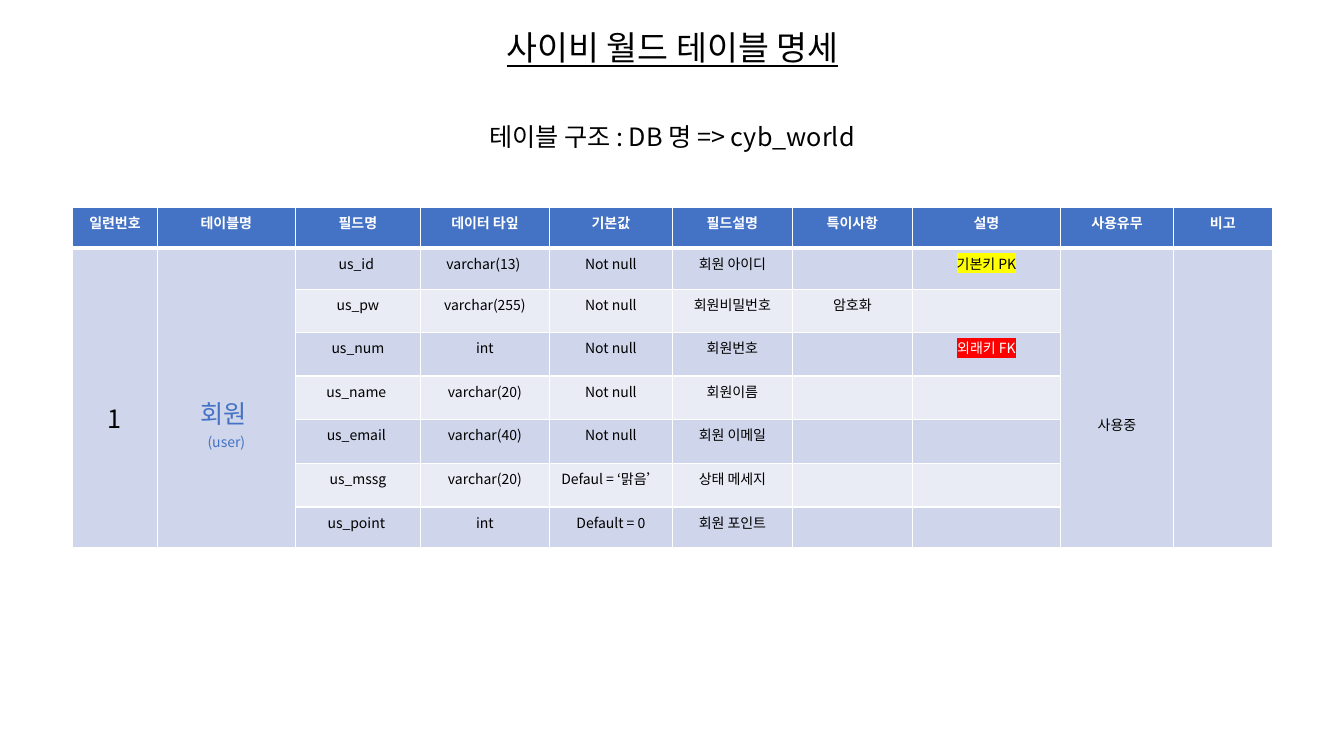
"""Build the table specification slide for the member table."""
import lxml.etree
import pptx
import pptx.dml.color
import pptx.enum.text
import pptx.oxml.ns
import pptx.util

Inches = pptx.util.Inches
Pt = pptx.util.Pt
RGBColor = pptx.dml.color.RGBColor
CENTER = pptx.enum.text.PP_ALIGN.CENTER
MIDDLE = pptx.enum.text.MSO_ANCHOR.MIDDLE

FONT = "Noto Sans CJK KR"
BLACK = RGBColor(0x00, 0x00, 0x00)
WHITE = RGBColor(0xFF, 0xFF, 0xFF)
BLUE = RGBColor(0x44, 0x72, 0xC4)
BAND_DARK = RGBColor(0xCF, 0xD5, 0xEA)
BAND_LIGHT = RGBColor(0xE9, 0xEB, 0xF5)
YELLOW = RGBColor(0xFF, 0xFF, 0x00)
RED = RGBColor(0xFF, 0x00, 0x00)

TITLE = "사이비 월드 테이블 명세"
SUBTITLE = "테이블 구조 : DB 명 => cyb_world"
HEADERS = ["일련번호", "테이블명", "필드명", "데이터 타잎", "기본값",
           "필드설명", "특이사항", "설명", "사용유무", "비고"]
FIELDS = [
    ("us_id ", "varchar(13) ", "Not null", "회원 아이디", "", "기본키 PK"),
    ("us_pw", "varchar(255)", "Not null", "회원비밀번호", "암호화", ""),
    ("us_num", "int", "Not null", "회원번호", "", "외래키 FK"),
    ("us_name ", "varchar(20)", "Not null", "회원이름", "", ""),
    ("us_email ", "varchar(40)", "Not null", "회원 이메일", "", ""),
    ("us_mssg", "varchar(20)", "Defaul = ‘맑음’", "상태 메세지", "", ""),
    ("us_point ", "int", "Default = 0", "회원 포인트", "", ""),
]
KEY_STYLES = {
    "기본키 PK": {"color": BLACK, "highlight": YELLOW},
    "외래키 FK": {"color": WHITE, "highlight": RED},
}
MERGED = {
    0: (0.45, [("1", 18, BLACK)]),
    1: (0.55, [("회원 ", 18, BLUE), ("(user)", 10, BLUE)]),
    8: (0.59, [("사용중", 10, BLACK)]),
    9: (0.05, []),
}
FIRST_FIELD_COLUMN = 2
COLUMN_WIDTHS = [0.84, 1.37, 1.24, 1.28, 1.22, 1.19, 1.19, 1.47, 1.12, 0.98]
ROW_HEIGHTS = [0.4, 0.41, 0.43, 0.43, 0.43, 0.44, 0.43, 0.4]


def add_element(parent, tag, position=None, **attributes):
    element = lxml.etree.Element(pptx.oxml.ns.qn(tag), attributes)
    parent.insert(len(parent) if position is None else position, element)
    return element


def write(paragraph, text, size, color, highlight=None, **font_values):
    run = paragraph.add_run()
    run.text = text
    font_values.update(name=FONT, size=Pt(size))
    for name, value in font_values.items():
        setattr(run.font, name, value)
    run.font.color.rgb = color
    properties = run.font._element
    add_element(properties, "a:ea", typeface=FONT)
    if highlight is not None:
        mark = add_element(properties, "a:highlight", 1)
        add_element(mark, "a:srgbClr", val=str(highlight))


def add_text(slide, box, text, size, wrap, **font_values):
    frame = slide.shapes.add_textbox(*map(Inches, box)).text_frame
    frame.word_wrap = wrap
    frame.vertical_anchor = MIDDLE
    paragraph = frame.paragraphs[0]
    paragraph.alignment = CENTER
    write(paragraph, text, size, BLACK, **font_values)


def format_cell(cell, row, fill):
    cell.fill.solid()
    cell.fill.fore_color.rgb = fill
    widths = {"L": 1, "R": 1, "T": 3 if row == 1 else 1, "B": 3 if row == 0 else 1}
    properties = cell._tc.get_or_add_tcPr()
    for position, (side, width) in enumerate(widths.items()):
        line = add_element(properties, f"a:ln{side}", position, w=str(Pt(width)))
        line_fill = add_element(line, "a:solidFill")
        add_element(line_fill, "a:srgbClr", val=str(WHITE))


def write_cell(cell, lines, **format_values):
    frame = cell.text_frame
    for index, (text, size, color) in enumerate(lines):
        paragraph = frame.add_paragraph() if index else frame.paragraphs[0]
        paragraph.alignment = CENTER
        write(paragraph, text, size, color, **format_values)
    if not lines:
        add_element(frame.paragraphs[0]._p, "a:endParaRPr", sz="1000")


def add_field_table(slide):
    table = slide.shapes.add_table(
        len(ROW_HEIGHTS), len(COLUMN_WIDTHS), Inches(0.72), Inches(2.06),
        Inches(sum(COLUMN_WIDTHS)), Inches(sum(ROW_HEIGHTS))).table
    for column, width in zip(table.columns, COLUMN_WIDTHS):
        column.width = Inches(width)
    for row, height in zip(table.rows, ROW_HEIGHTS):
        row.height = Inches(height)

    for row in range(len(ROW_HEIGHTS)):
        for column, header in enumerate(HEADERS):
            cell = table.cell(row, column)
            if row == 0:
                format_cell(cell, row, BLUE)
                write_cell(cell, [(header, 10, WHITE)], bold=True)
            elif column in MERGED:
                format_cell(cell, row, BAND_DARK)
                top_margin, lines = MERGED[column]
                write_cell(cell, lines if row == 1 else [], bold=False)
                if row == 1:
                    cell.vertical_anchor = MIDDLE
                    cell.margin_top = Inches(top_margin)
            else:
                format_cell(cell, row, BAND_DARK if row % 2 else BAND_LIGHT)
                text = FIELDS[row - 1][column - FIRST_FIELD_COLUMN]
                style = KEY_STYLES.get(text, {"color": BLACK, "highlight": None})
                lines = [(text, 10, style["color"])] if text else []
                write_cell(cell, lines, highlight=style["highlight"], bold=False)

    for column in MERGED:
        table.cell(1, column).merge(table.cell(len(FIELDS), column))


def main():
    presentation = pptx.Presentation()
    presentation.slide_width = Inches(13.33)
    presentation.slide_height = Inches(7.5)
    slide = presentation.slides.add_slide(presentation.slide_layouts[6])
    add_text(slide, (4.27, 0.03, 4.8, 0.88), TITLE, 24, True, underline=True)
    add_text(slide, (4.6, 1.15, 4.13, 0.4), SUBTITLE, 18, False)
    add_field_table(slide)
    presentation.save("out.pptx")


if __name__ == "__main__":
    main()
